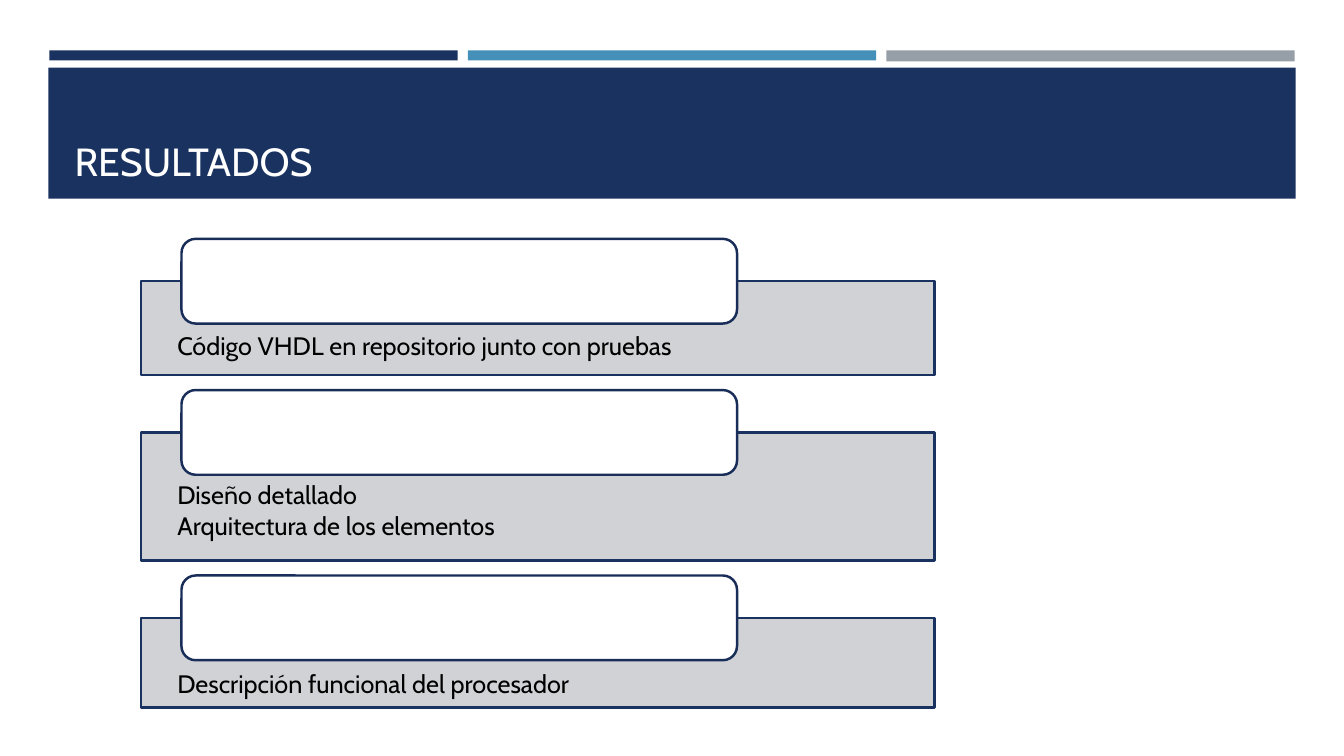
from dataclasses import dataclass

from lxml.etree import SubElement
from pptx import Presentation
from pptx.dml.color import RGBColor
from pptx.enum.shapes import MSO_SHAPE
from pptx.enum.text import MSO_ANCHOR, PP_ALIGN
from pptx.oxml.ns import qn
from pptx.shapes.autoshape import Shape
from pptx.slide import Slide
from pptx.text.text import TextFrame
from pptx.util import Inches, Pt

NAVY, EDGE, BLUE, STEEL = "1A3260", "182D57", "4590B8", "969FA7"
GREY, WHITE, BLACK = "CDCED2", "FFFFFF", "000000"
FONT = "Cabin"


@dataclass
class Bar:
    color: str
    height: float


@dataclass
class Panel:
    top: float
    height: float
    text: str
    text_top: float


BARS = [Bar(NAVY, 0.1), Bar(BLUE, 0.1), Bar(STEEL, 0.11)]
PANELS = [
    Panel(2.79, 0.93, "Código VHDL en repositorio junto con pruebas", 3.23),
    Panel(4.29, 1.27, "Diseño detallado\nArquitectura de los elementos", 4.71),
    Panel(6.13, 0.89, "Descripción funcional del procesador", 6.58),
]


def rgb(color: str) -> RGBColor:
    return RGBColor.from_string(color)


def add_box(slide: Slide, kind: MSO_SHAPE, left: float, top: float, width: float,
            height: float, fill: str, line: str | None = None) -> Shape:
    box = slide.shapes.add_shape(
        kind, Inches(left), Inches(top), Inches(width), Inches(height))
    box.shadow.inherit = False
    box.fill.solid()
    box.fill.fore_color.rgb = rgb(fill)
    if line:
        box.line.color.rgb = rgb(line)
        box.line.width = Pt(1.75)
    else:
        box.line.fill.background()
    return box


def set_alpha(box: Shape, share: int) -> None:
    fill = box.element.spPr.find(qn("a:solidFill"))
    SubElement(fill[0], qn("a:alpha")).set("val", str(share * 1000))


def set_text(frame: TextFrame, text: str, size: int, color: str) -> None:
    frame.text = text
    frame.word_wrap = True
    for line in frame.paragraphs:
        line.alignment = PP_ALIGN.LEFT
        for run in line.runs:
            run.font.name = FONT
            run.font.size = Pt(size)
            run.font.color.rgb = rgb(color)


def add_head(slide: Slide) -> None:
    # Three bars above the title band
    for col, bar in enumerate(BARS):
        add_box(slide, MSO_SHAPE.RECTANGLE, 0.49 + 4.15 * col, 0.5,
                4.05, bar.height, bar.color)
    add_box(slide, MSO_SHAPE.RECTANGLE, 0.48, 0.67, 12.37, 1.3, NAVY)

    # Title, raised in front of its band
    title = slide.shapes.title
    title.left, title.top = Inches(0.64), Inches(0.77)
    title.width, title.height = Inches(12.06), Inches(1.11)
    set_text(title.text_frame, "RESULTADOS", 28, WHITE)
    title.text_frame.vertical_anchor = MSO_ANCHOR.BOTTOM
    title.element.getparent().append(title.element)


def add_panel(slide: Slide, panel: Panel) -> None:
    back = add_box(slide, MSO_SHAPE.RECTANGLE, 1.4, panel.top, 7.87,
                   panel.height, GREY, NAVY)
    set_alpha(back, 90)
    add_box(slide, MSO_SHAPE.ROUNDED_RECTANGLE, 1.8, panel.top - 0.42,
            5.51, 0.84, WHITE, EDGE)


def add_note(slide: Slide, panel: Panel) -> None:
    lines = panel.text.count("\n") + 1
    note = slide.shapes.add_textbox(
        Inches(1.66), Inches(panel.text_top), Inches(5.75),
        Inches(0.41 + 0.3 * lines))
    set_text(note.text_frame, panel.text, 18, BLACK)


def main() -> None:
    deck = Presentation()
    deck.slide_width, deck.slide_height = Inches(13.33), Inches(7.5)
    slide = deck.slides.add_slide(deck.slide_layouts[5])
    add_head(slide)

    # Panels first, then their texts
    for panel in PANELS:
        add_panel(slide, panel)
    for panel in PANELS:
        add_note(slide, panel)
    deck.save("out.pptx")


if __name__ == "__main__":
    main()
